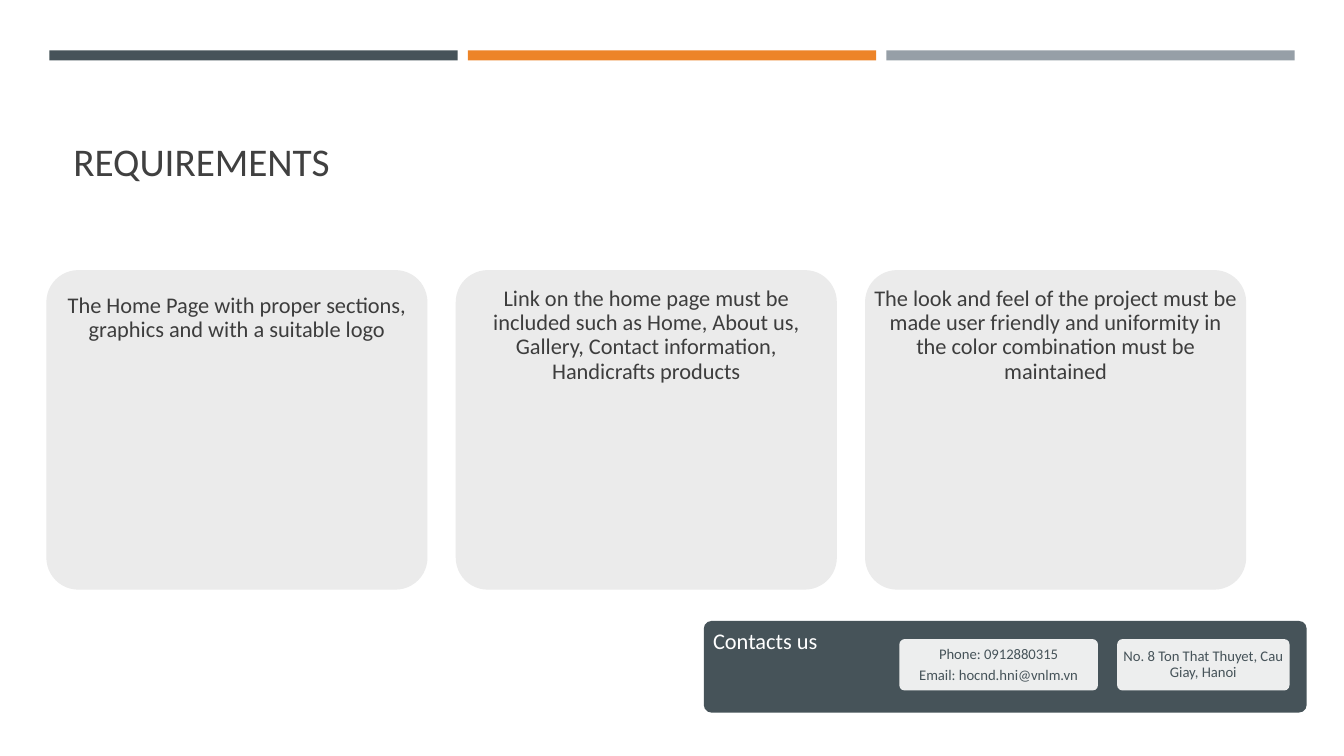
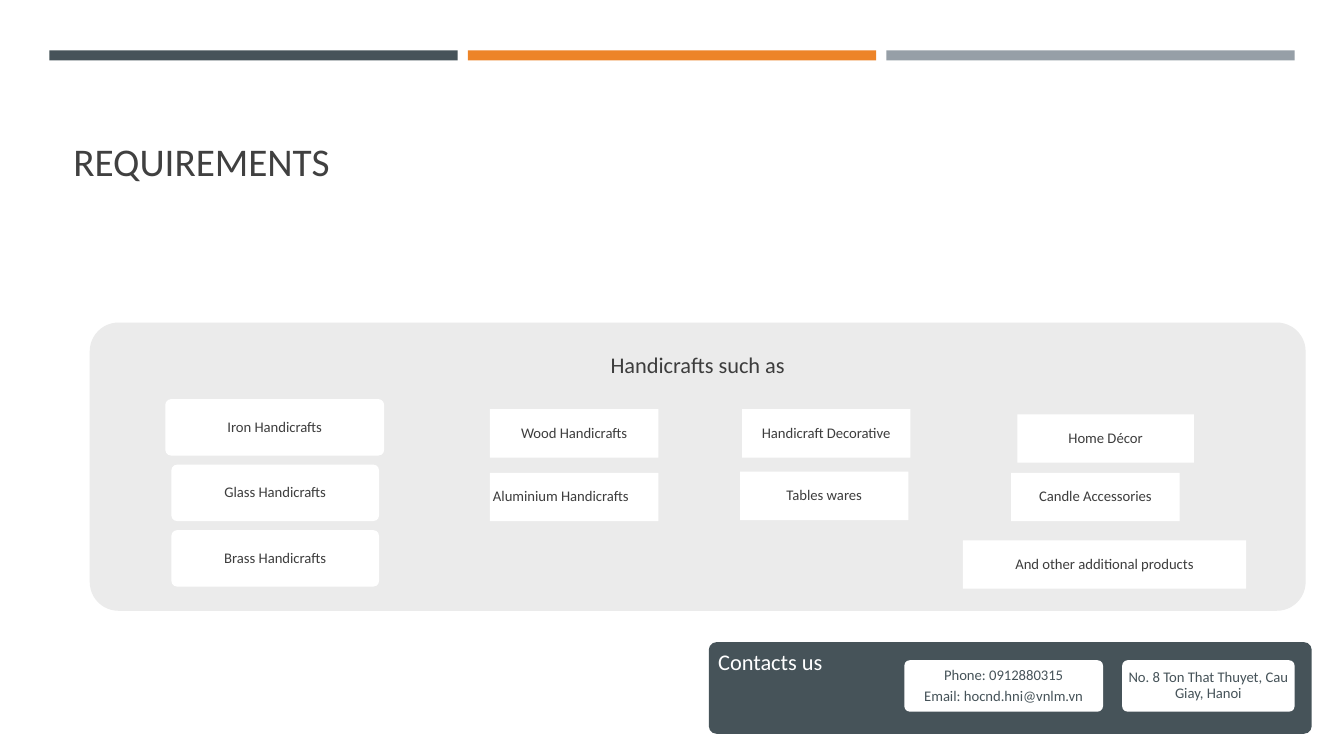
"""Build two requirement slides for a handicraft shop website."""
import pptx
import pptx.dml.color
import pptx.enum.shapes
import pptx.enum.text
import pptx.util

RGBColor = pptx.dml.color.RGBColor
Shape = pptx.enum.shapes.MSO_SHAPE
Anchor = pptx.enum.text.MSO_ANCHOR
Align = pptx.enum.text.PP_ALIGN

EMU_PER_PX = 9144
FONT = "Calibri"
SLATE = RGBColor(0x46, 0x53, 0x59)
ORANGE = RGBColor(0xED, 0x84, 0x28)
STEEL = RGBColor(0x96, 0x9F, 0xA7)
PANEL = RGBColor(0xEB, 0xEB, 0xEB)
MIST = RGBColor(0xED, 0xEE, 0xEE)
WHITE = RGBColor(0xFF, 0xFF, 0xFF)
INK = RGBColor(0x3D, 0x3D, 0x3D)
TITLE_INK = RGBColor(0x40, 0x40, 0x40)

CARDS = [
    ("The Home Page with proper sections, graphics and with a suitable logo", 95),
    ("Link on the home page must be included such as Home, About us, "
     "Gallery, Contact information, Handicrafts products", 130),
    ("The look and feel of the project must be made user friendly and "
     "uniformity in the color combination must be maintained", 130),
]
ROUNDED_CHIPS = [
    ("Iron Handicrafts", 164, 396, 217),
    ("Glass Handicrafts", 170, 461, 206),
    ("Brass Handicrafts", 170, 526, 206),
]
SQUARE_CHIPS = [
    ("Wood Handicrafts", 486, 406, 167),
    ("Aluminium Handicrafts", 486, 469, 167),
    ("Handicraft Decorative", 736, 406, 167),
    ("Tables wares", 734, 468, 167),
    ("Home Décor", 1009, 411, 175),
    ("Candle Accessories", 1003, 469, 167),
    ("And other additional products", 955, 536, 281),
]


def px(*lengths):
    """Turn px lengths into EMU."""
    return [pptx.util.Emu(length * EMU_PER_PX) for length in lengths]


def write(box, lines, size, color, insets, anchor=Anchor.MIDDLE, align=Align.CENTER):
    """Fill a box with evenly styled paragraphs."""
    frame = box.text_frame
    frame.word_wrap = True
    frame.vertical_anchor = anchor
    (frame.margin_left, frame.margin_top,
     frame.margin_right, frame.margin_bottom) = px(*insets)
    frame.text = "\n".join(lines)
    for para in frame.paragraphs:
        para.alignment = align
        para.line_spacing = 0.9
        para.space_after = pptx.util.Pt(round(size * 0.35, 1))
        para.font.name = FONT
        para.font.size = pptx.util.Pt(size)
        para.font.color.rgb = color


def add_block(page, place, fill, rounding=0):
    """Add a plain filled rectangle, rounded when a rounding is given."""
    kind = Shape.ROUNDED_RECTANGLE if rounding else Shape.RECTANGLE
    block = page.shapes.add_shape(kind, *px(*place))
    block.shadow.inherit = False
    block.fill.solid()
    block.fill.fore_color.rgb = fill
    block.line.fill.background()
    if rounding:
        block.adjustments[0] = rounding
    return block


def add_caption(page, place, text):
    """Add the centred caption of a panel."""
    box = page.shapes.add_textbox(*px(*place))
    write(box, [text], 16, INK, (7, 7, 7, 7))


def add_chip(page, place, text, rounding=0):
    """Add a white product label."""
    chip = add_block(page, place, WHITE, rounding)
    align = Align.LEFT if text.startswith("Aluminium") else Align.CENTER
    write(chip, [text], 10.5, INK, (3, 2, 3, 2), align=align)


def add_contacts(page, left, top, pill_fill):
    """Add the contact bar with its two pills."""
    bar = add_block(page, (left, top, 598, 91), SLATE, 0.085)
    write(bar, ["Contacts us"], 16, WHITE, (7, 7, 7, 56), Anchor.BOTTOM, Align.LEFT)
    pills = [
        (194, 197, ["Phone: 0912880315", "Email: hocnd.hni@vnlm.vn"]),
        (410, 171, ["No. 8 Ton That Thuyet, Cau Giay, Hanoi"]),
    ]
    for offset, width, lines in pills:
        pill = add_block(page, (left + offset, top + 18, width, 51), pill_fill, 0.105)
        write(pill, lines, 10.5, SLATE, (4, 5, 4, 5))


def add_page(deck):
    """Add a blank page with the top bands and the title."""
    page = deck.slides.add_slide(deck.slide_layouts[6])
    for column, color in enumerate((SLATE, ORANGE, STEEL)):
        add_block(page, (49 + 415 * column, 50, 405, 10), color)
    title = page.shapes.add_textbox(*px(63, 80, 1206, 108))
    write(title, ["REQUIREMENTS"], 28, TITLE_INK, (10, 5, 10, 5),
          Anchor.BOTTOM, Align.LEFT)
    return page


def add_site_page(deck):
    """Add the page about the website itself."""
    page = add_page(deck)
    for column, (text, height) in enumerate(CARDS):
        left = 46 + 406 * column
        add_block(page, (left, 268, 378, 317), PANEL, 0.1)
        add_caption(page, (left, 268, 378, height), text)
    add_contacts(page, 698, 616, MIST)


def add_product_page(deck):
    """Add the page about the products on offer."""
    page = add_page(deck)
    add_block(page, (89, 320, 1206, 286), PANEL, 0.1)
    add_caption(page, (89, 320, 1206, 86), "Handicrafts such as")
    for text, left, top, width in ROUNDED_CHIPS:
        add_chip(page, (left, top, width, 56), text, 0.1)
    for text, left, top, width in SQUARE_CHIPS:
        add_chip(page, (left, top, width, 48), text)
    add_contacts(page, 703, 637, WHITE)


def main():
    """Build and save the deck."""
    deck = pptx.Presentation()
    deck.slide_width, deck.slide_height = px(1333, 750)
    add_site_page(deck)
    add_product_page(deck)
    deck.save("out.pptx")


if __name__ == "__main__":
    main()
